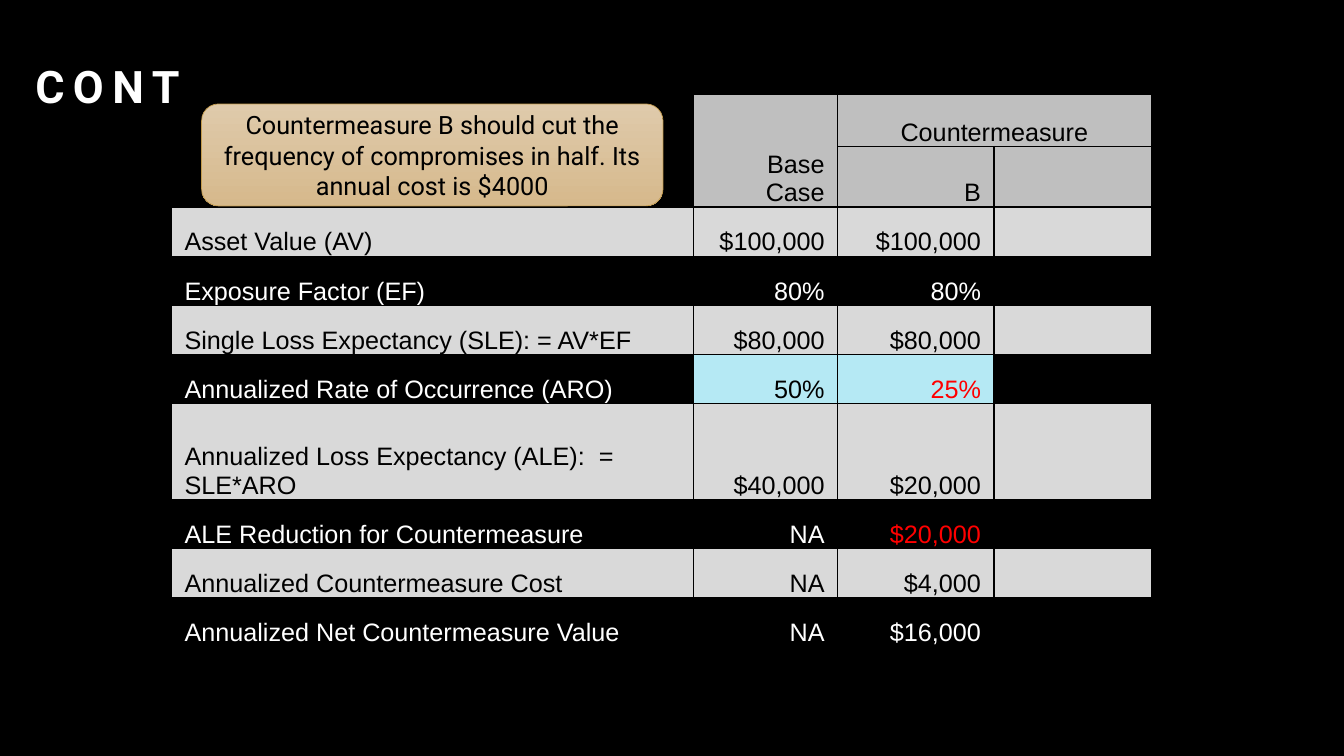
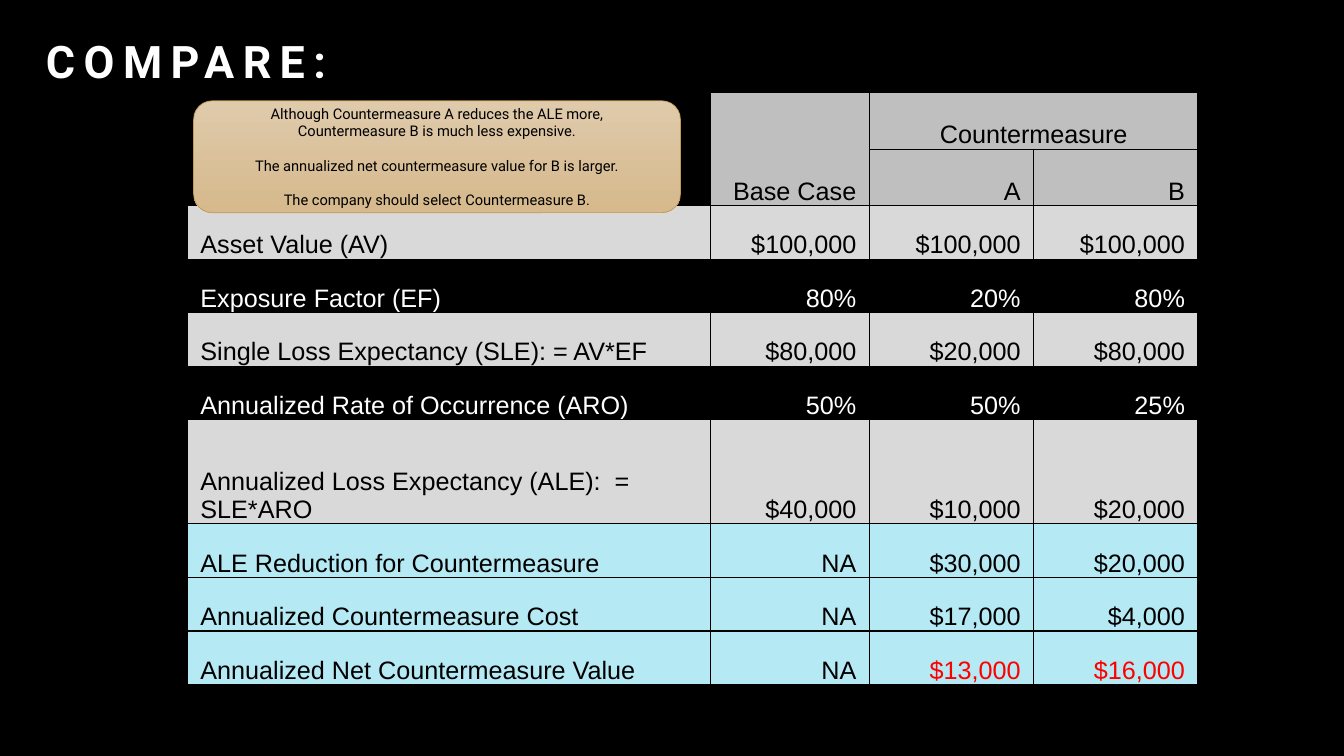
from dataclasses import dataclass

from lxml.etree import SubElement
from pptx import Presentation
from pptx.dml.color import RGBColor
from pptx.enum.shapes import MSO_SHAPE
from pptx.enum.text import MSO_ANCHOR, PP_ALIGN
from pptx.oxml.ns import qn
from pptx.slide import Slide
from pptx.table import _Cell
from pptx.text.text import _Paragraph
from pptx.util import Cm, Pt

BLACK, WHITE, RED = "000000", "FFFFFF", "FF0000"
HEADER, BAND, HIGHLIGHT = "BFBFBF", "D9D9D9", "B5E9F4"
CALLOUT_TOP, CALLOUT_BOTTOM, CALLOUT_EDGE = "DFCAAB", "D6B98C", "C39B4D"
HEADER_ROWS = 2
BORDER_WIDTH = Pt(1)

MEASURES = (
    "Asset Value (AV)",
    "Exposure Factor (EF)",
    "Single Loss Expectancy (SLE): = AV*EF",
    "Annualized Rate of Occurrence (ARO)",
    "Annualized Loss Expectancy (ALE):  = SLE*ARO",
    "ALE Reduction for Countermeasure",
    "Annualized Countermeasure Cost",
    "Annualized Net Countermeasure Value",
)
BASE_CASE = ("$100,000", "80%", "$80,000", "50%", "$40,000", "NA", "NA", "NA")
CASE_A = ("$100,000", "20%", "$20,000", "50%", "$10,000", "$30,000", "$17,000", "$13,000")
CASE_B = ("$100,000", "80%", "$80,000", "25%", "$20,000", "$20,000", "$4,000", "$16,000")
NO_CASE = ("",) * len(MEASURES)


@dataclass(frozen=True)
class Box:
    left: float
    top: float
    width: float
    height: float

    def lengths(self) -> tuple[Cm, Cm, Cm, Cm]:
        return Cm(self.left), Cm(self.top), Cm(self.width), Cm(self.height)


@dataclass(frozen=True)
class CostTable:
    left: float
    top: float
    columns: tuple[float, ...]
    rows: tuple[float, ...]
    options: tuple[str, str]
    cases: tuple[tuple[str, ...], ...]
    highlighted: frozenset[tuple[int, int]]
    alerts: frozenset[tuple[int, int]]


@dataclass(frozen=True)
class Callout:
    box: Box
    lines: tuple[str, ...]
    size: float
    gaps: tuple[float, ...]


@dataclass(frozen=True)
class Analysis:
    title: str
    title_box: Box
    costs: CostTable
    callout: Callout


def row_heights(top: float, second: float, single: float, double: float) -> tuple[float, ...]:
    return (top, second, *[single] * 4, double, *[single] * 3, top)


ANALYSES = (
    Analysis(
        "CONT",
        Box(0.64, 0.76, 27.74, 2.21),
        CostTable(
            4.32, 2.39,
            (13.16, 3.63, 3.94, 3.96),
            row_heights(1.3, 1.41, 1.24, 2.41),
            ("B", ""),
            (BASE_CASE, CASE_B, NO_CASE),
            frozenset({(3, 1), (3, 2)}),
            frozenset({(3, 2), (5, 2)}),
        ),
        Callout(
            Box(5.08, 2.62, 11.63, 2.57),
            ("Countermeasure B should cut the frequency of compromises in half. "
             "Its annual cost is $4000",),
            18,
            (0,),
        ),
    ),
    Analysis(
        "COMPARE:",
        Box(0.91, 0.76, 27.46, 1.57),
        CostTable(
            4.72, 2.34,
            (13.18, 4.01, 4.14, 4.14),
            row_heights(1.42, 1.42, 1.35, 2.62),
            ("A", "B"),
            (BASE_CASE, CASE_A, CASE_B),
            frozenset((row, column) for row in (5, 6, 7) for column in range(4)),
            frozenset({(7, 2), (7, 3)}),
        ),
        Callout(
            Box(4.88, 2.54, 12.27, 2.82),
            (
                "Although Countermeasure A reduces the ALE more,",
                "Countermeasure B is much less expensive.",
                "The annualized net countermeasure value for B is larger.",
                "The company should select Countermeasure B.",
            ),
            10.5,
            (0, 0, 12, 12),
        ),
    ),
)


def rgb(colour: str) -> RGBColor:
    return RGBColor.from_string(colour)


def add_run(paragraph: _Paragraph, text: str, font: str, size: float, colour: str):
    run = paragraph.add_run()
    run.text = text
    run.font.name = font
    run.font.size = Pt(size)
    run.font.color.rgb = rgb(colour)
    return run


def draw_title(slide: Slide, text: str, box: Box) -> None:
    frame = slide.shapes.add_textbox(*box.lengths()).text_frame
    frame.word_wrap = True
    frame.vertical_anchor = MSO_ANCHOR.BOTTOM
    paragraph = frame.paragraphs[0]
    paragraph.line_spacing = 1.2
    run = add_run(paragraph, text, "Roboto", 32, WHITE)
    run.font.bold = True
    run.font._element.set("spc", "600")


def add_borders(cell: _Cell) -> None:
    properties = cell._tc.get_or_add_tcPr()
    for position, side in enumerate(("a:lnL", "a:lnR", "a:lnT", "a:lnB")):
        border = SubElement(properties, qn(side), w=str(BORDER_WIDTH))
        solid = SubElement(border, qn("a:solidFill"))
        SubElement(solid, qn("a:srgbClr"), val=BLACK)
        properties.insert(position, border)


def fill_cell(cell: _Cell, text: str = "", fill: str = "", colour: str = BLACK,
              align: PP_ALIGN = PP_ALIGN.RIGHT) -> None:
    if fill:
        cell.fill.solid()
        cell.fill.fore_color.rgb = rgb(fill)
    else:
        cell.fill.background()
    cell.vertical_anchor = MSO_ANCHOR.BOTTOM
    cell.margin_left = cell.margin_right = Cm(0.33)
    cell.margin_top = cell.margin_bottom = 0
    add_borders(cell)
    if text:
        paragraph = cell.text_frame.paragraphs[0]
        paragraph.alignment = align
        paragraph.space_before = paragraph.space_after = Pt(3)
        add_run(paragraph, text, "Arial", 18, colour)


def draw_costs(slide: Slide, costs: CostTable) -> None:
    box = Box(costs.left, costs.top, sum(costs.columns), sum(costs.rows))
    table = slide.shapes.add_table(len(costs.rows), len(costs.columns), *box.lengths()).table
    table.first_row = table.horz_banding = False
    for column, width in zip(table.columns, costs.columns):
        column.width = Cm(width)
    for row, height in zip(table.rows, costs.rows):
        row.height = Cm(height)

    table.cell(0, 1).merge(table.cell(1, 1))
    table.cell(0, 2).merge(table.cell(0, 3))
    headings = (
        ("", "Base Case", "Countermeasure", ""),
        ("", "", *costs.options),
    )
    for row, labels in enumerate(headings):
        for column, label in enumerate(labels):
            align = PP_ALIGN.CENTER if label == "Countermeasure" else PP_ALIGN.RIGHT
            fill_cell(table.cell(row, column), label, HEADER if column else "", align=align)

    for row, values in enumerate(zip(MEASURES, *costs.cases)):
        for column, value in enumerate(values):
            place = (row, column)
            band = "" if row % 2 else BAND
            fill = HIGHLIGHT if place in costs.highlighted else band
            plain = BLACK if fill else WHITE
            colour = RED if place in costs.alerts else plain
            align = PP_ALIGN.RIGHT if column else PP_ALIGN.LEFT
            fill_cell(table.cell(row + HEADER_ROWS, column), value, fill, colour, align)

    for column in range(len(costs.columns)):
        fill_cell(table.cell(len(costs.rows) - 1, column))


def draw_callout(slide: Slide, callout: Callout) -> None:
    panel = slide.shapes.add_shape(MSO_SHAPE.ROUNDED_RECTANGLE, *callout.box.lengths())
    panel.shadow.inherit = False
    panel.fill.gradient()
    panel.fill.gradient_angle = 270
    for stop, colour in zip(panel.fill.gradient_stops, (CALLOUT_TOP, CALLOUT_BOTTOM)):
        stop.color.rgb = rgb(colour)
    panel.line.color.rgb = rgb(CALLOUT_EDGE)
    panel.line.width = Pt(0.5)
    frame = panel.text_frame
    frame.word_wrap = True
    frame.vertical_anchor = MSO_ANCHOR.MIDDLE
    for index, (line, gap) in enumerate(zip(callout.lines, callout.gaps)):
        paragraph = frame.add_paragraph() if index else frame.paragraphs[0]
        paragraph.alignment = PP_ALIGN.CENTER
        paragraph.space_before = Pt(gap)
        add_run(paragraph, line, "Roboto", callout.size, BLACK)


def main() -> None:
    deck = Presentation()
    deck.slide_width, deck.slide_height = Cm(33.87), Cm(19.05)
    for analysis in ANALYSES:
        slide = deck.slides.add_slide(deck.slide_layouts[6])
        slide.background.fill.solid()
        slide.background.fill.fore_color.rgb = rgb(BLACK)
        draw_title(slide, analysis.title, analysis.title_box)
        draw_costs(slide, analysis.costs)
        draw_callout(slide, analysis.callout)
    deck.save("out.pptx")


if __name__ == "__main__":
    main()
